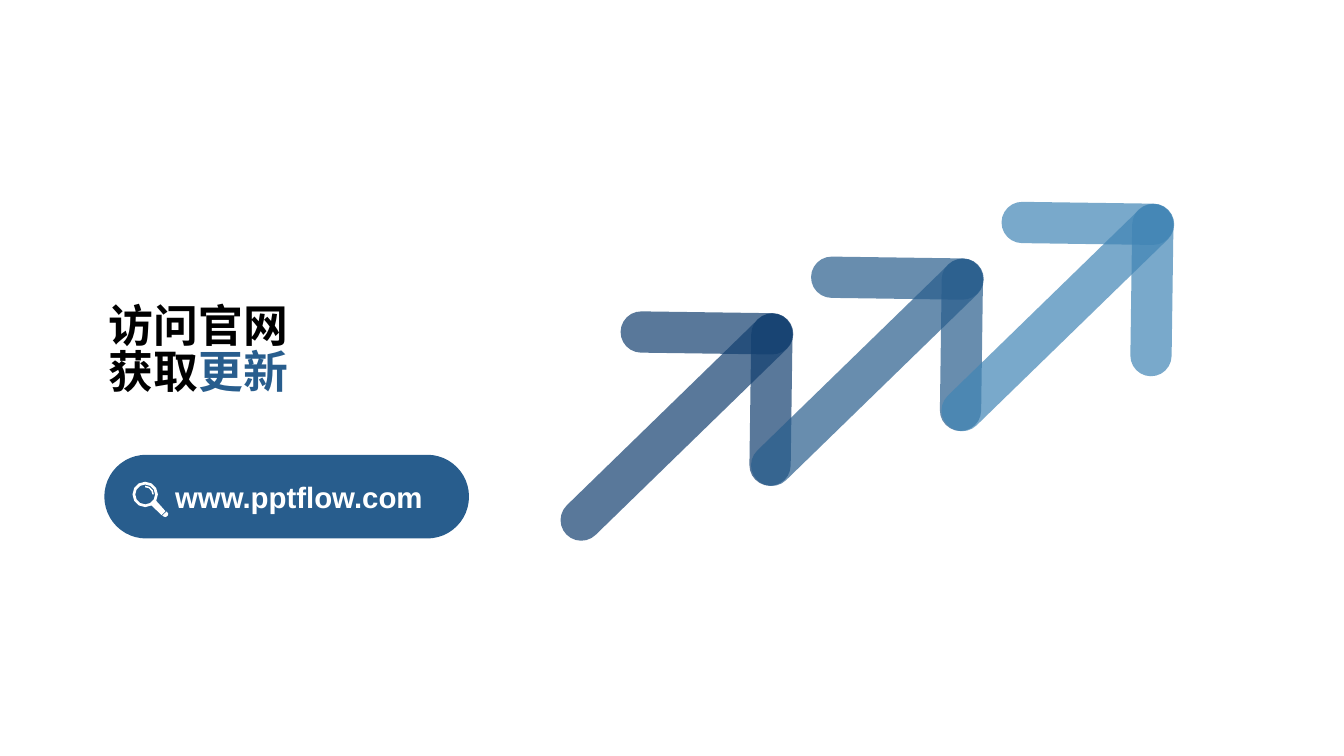
from math import cos, radians, sin

from lxml import etree
from pptx import Presentation
from pptx.dml.color import RGBColor
from pptx.enum.shapes import MSO_SHAPE
from pptx.enum.text import MSO_ANCHOR, MSO_AUTO_SIZE, PP_ALIGN
from pptx.oxml.ns import qn
from pptx.util import Cm, Pt

ROUNDED = MSO_SHAPE.ROUNDED_RECTANGLE
MIDDLE = MSO_ANCHOR.MIDDLE
GROW = MSO_AUTO_SIZE.SHAPE_TO_FIT_TEXT
LEFT, CENTER = PP_ALIGN.LEFT, PP_ALIGN.CENTER

WHITE, BLACK = "FFFFFF", "000000"
NAVY, BLUE, SKY = "134070", "285D8D", "4185B5"
TITLE_FONT, LATIN_FONT = "Noto Sans CJK SC", "Arial"


def color(hex_text):
    """Turn a hex string into a colour."""
    return RGBColor.from_string(hex_text)


def add_span(para, text, size=21, font=LATIN_FONT, fill=WHITE, bold=True):
    """Add formatted text to a paragraph."""
    span = para.add_run()
    span.text = text
    span.font.size = Pt(size)
    span.font.bold = bold
    span.font.name = font
    span.font.color.rgb = color(fill)
    east_asian = etree.SubElement(span.font._element, qn("a:ea"))
    east_asian.set("typeface", font)


def arc(radius, start, end, step=30):
    """List points along a circle around the origin between two angles."""
    return [(radius * cos(radians(angle)), radius * sin(radians(angle)))
            for angle in range(start, end + 1, step)]


class SlideBuilder:
    """Holds the shared style and the current slide."""

    def __init__(self, deck):
        """Start a title-only slide."""
        self.page = deck.slides.add_slide(deck.slide_layouts[5])

    def paint(self, shape, fill, opacity=100):
        """Give a shape a plain fill without line or shadow."""
        shape.shadow.inherit = False
        shape.fill.solid()
        shape.fill.fore_color.rgb = color(fill)
        shape.line.fill.background()
        if opacity < 100:
            tone = shape.fill._xPr.find(qn("a:solidFill"))[0]
            alpha = etree.SubElement(tone, qn("a:alpha"))
            alpha.set("val", str(opacity * 1000))

    def title(self, lines, left, top, width, height):
        """Fill the title with lines of coloured spans."""
        box = self.page.shapes.title
        box.left, box.top = Cm(left), Cm(top)
        box.width, box.height = Cm(width), Cm(height)
        frame = box.text_frame
        frame.word_wrap = True
        frame.auto_size = GROW
        frame.vertical_anchor = MIDDLE
        frame.margin_left = Cm(1.52)
        for index, spans in enumerate(lines):
            para = frame.add_paragraph() if index else frame.paragraphs[0]
            para.alignment = LEFT
            para.line_spacing = Pt(33)
            para.space_before = Pt(0)
            for text, fill in spans:
                add_span(para, text, size=32, font=TITLE_FONT, fill=fill)

    def pill(self, shapes, left, top, width, height, fill, opacity=100):
        """Add a fully rounded bar."""
        bar = shapes.add_shape(ROUNDED, Cm(left), Cm(top), Cm(width), Cm(height))
        bar.adjustments[0] = 0.5
        self.paint(bar, fill, opacity)
        return bar

    def arrow(self, tip_x, tip_y, fill):
        """Add an arrow of three see-through bars that meet at its tip."""
        group = self.page.shapes.add_group_shape()
        thickness = 1.04
        bars = [(-1.65, -0.03, 4.34, 0.8),
                (-0.03, 1.65, 4.34, 270.8),
                (-2.4, 2.34, 7.77, 315.8)]
        for shift_x, shift_y, length, angle in bars:
            bar = self.pill(group.shapes, tip_x + shift_x - length / 2,
                            tip_y + shift_y - thickness / 2,
                            length, thickness, fill, opacity=70)
            bar.rotation = angle

    def address(self, text, left, top, width, height):
        """Add the pill with the web address."""
        bar = self.pill(self.page.shapes, left, top, width, height, BLUE)
        frame = bar.text_frame
        frame.word_wrap = True
        frame.vertical_anchor = MIDDLE
        frame.margin_left = Cm(0.87)
        para = frame.paragraphs[0]
        para.alignment = CENTER
        add_span(para, text)

    def magnifier(self, x, y):
        """Add a magnifier whose lens is centred on a point."""
        contours = [
            arc(0.32, 60, 390) + [(0.51, 0.42), (0.41, 0.52)],
            arc(0.25, 0, 330),
            arc(0.22, -90, 0) + arc(0.18, -90, 0)[::-1],
            [(0.54, 0.43), (0.58, 0.48), (0.57, 0.53),
             (0.52, 0.57), (0.47, 0.56), (0.43, 0.53)],
        ]
        outlines = [[(Cm(x + across), Cm(y + down)) for across, down in contour]
                    for contour in contours]
        builder = self.page.shapes.build_freeform(*outlines[0][0])
        for index, points in enumerate(outlines):
            if index:
                builder.move_to(*points[0])
            builder.add_line_segments(points[1:], close=True)
        self.paint(builder.convert_to_shape(), WHITE)


def main():
    """Build and save the slide."""
    deck = Presentation()
    deck.slide_width, deck.slide_height = Cm(33.87), Cm(19.05)
    slide = SlideBuilder(deck)
    slide.title([[("访问官网", BLACK)], [("获取", BLACK), ("更新", BLUE)]],
                1.22, 7.55, 11.46, 2.62)
    for index, fill in enumerate([NAVY, BLUE, SKY]):
        slide.arrow(19.46 + 4.8 * index, 8.42 - 1.38 * index, fill)
    slide.address("www.pptflow.com", 2.63, 11.46, 9.19, 2.11)
    slide.magnifier(3.66, 12.46)
    deck.save("out.pptx")


if __name__ == "__main__":
    main()
